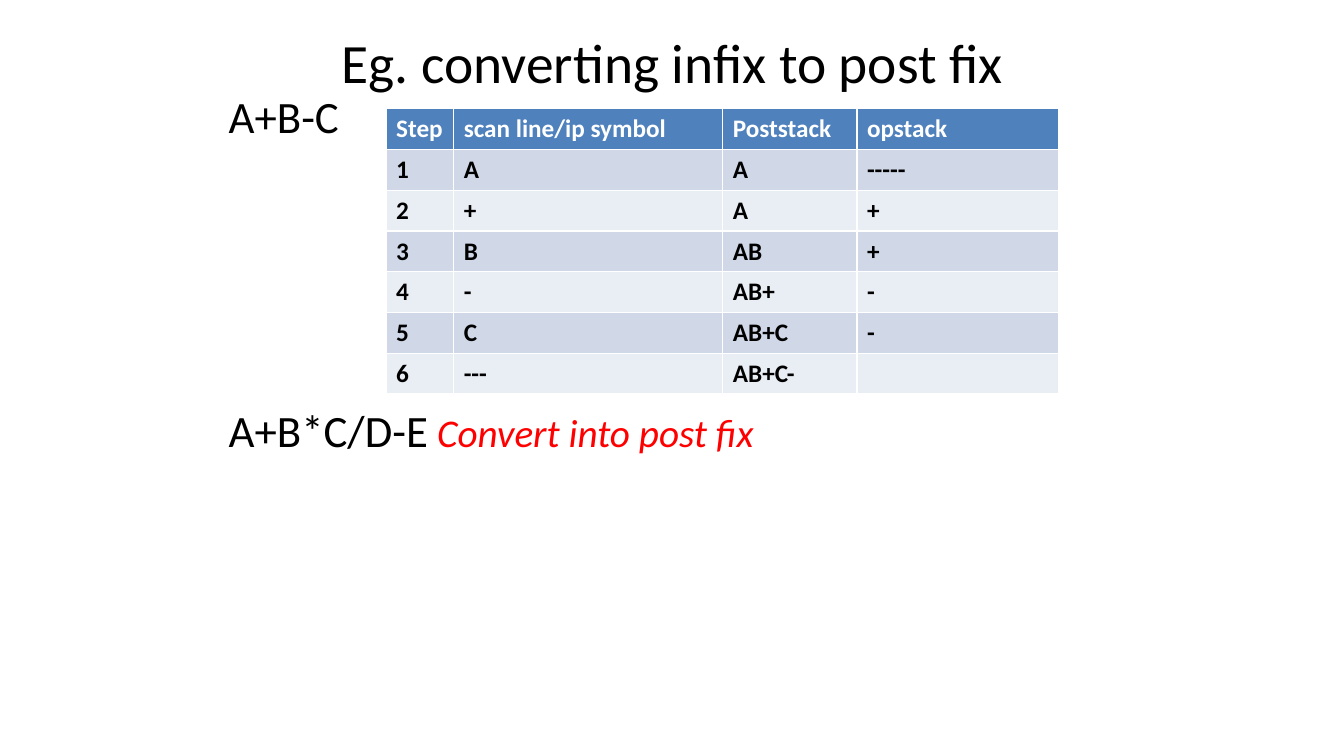
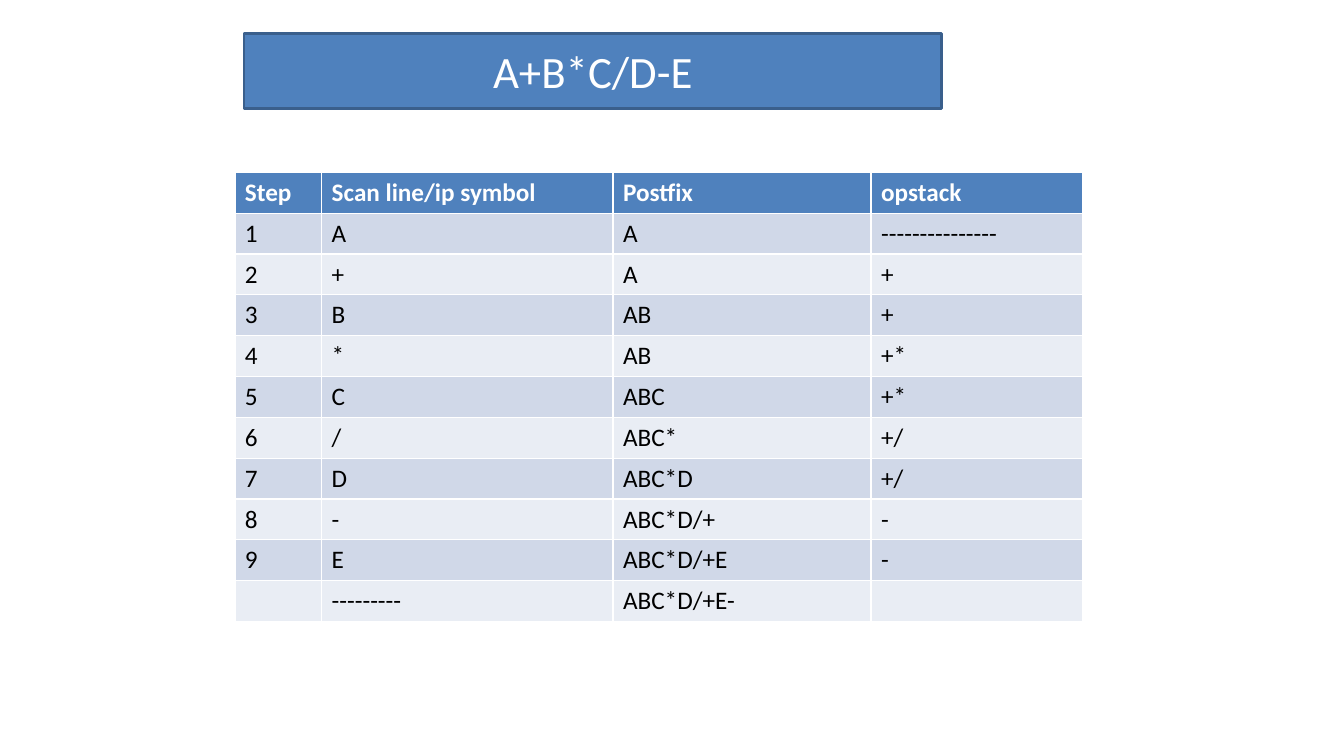
"""Build two slides that trace infix to postfix conversion step by step."""
from dataclasses import dataclass

from pptx import Presentation
from pptx import util as u
from pptx.dml import color
from pptx.enum import shapes, text


@dataclass(frozen=True)
class Theme:
    font: str = "Calibri"
    black: str = "000000"
    white: str = "FFFFFF"
    red: str = "FF0000"
    blue: str = "4F81BD"
    outline: str = "3A5F8C"
    bands: tuple = ("E9EDF4", "D0D8E8")
    title_size: float = 39.6
    body_size: float = 32
    prompt_size: float = 28
    cell_size: float = 18


theme = Theme()


def style_runs(para, size, hue, bold=False):
    for span in para.runs:
        span.font.name = theme.font
        span.font.size = u.Pt(size)
        span.font.bold = bold
        span.font.color.rgb = color.RGBColor.from_string(hue)


def add_trace_table(page, left, top, height, widths, rows, bold):
    frame = page.shapes.add_table(
        len(rows), len(widths), u.Inches(left), u.Inches(top),
        u.Inches(sum(widths)), u.Inches(height))
    table = frame.table
    for column, width in zip(table.columns, widths):
        column.width = u.Inches(width)
    for index, values in enumerate(rows):
        header = index == 0
        for cell, value in zip(table.rows[index].cells, values):
            cell.fill.solid()
            cell.fill.fore_color.rgb = color.RGBColor.from_string(
                theme.blue if header else theme.bands[index % 2])
            para = cell.text_frame.paragraphs[0]
            para.text = value
            para.font.size = u.Pt(theme.cell_size)
            style_runs(para, theme.cell_size,
                       theme.white if header else theme.black, header or bold)


deck = Presentation()
deck.slide_width, deck.slide_height = u.Inches(13.33), u.Inches(7.5)
expression = "A+B*C/D-E"

page = deck.slides.add_slide(deck.slide_layouts[5])
title = page.shapes.title
title.left, title.top = u.Inches(2.17), u.Inches(0.3)
title.width, title.height = u.Inches(9), u.Inches(0.62)
title.text_frame.text = "Eg. converting infix to post fix"
title.text_frame.vertical_anchor = text.MSO_ANCHOR.MIDDLE
title.text_frame.paragraphs[0].alignment = text.PP_ALIGN.CENTER
style_runs(title.text_frame.paragraphs[0], theme.title_size, theme.black)

body = page.shapes.add_textbox(
    u.Inches(2.17), u.Inches(0.83), u.Inches(9), u.Inches(6.25))
body.text_frame.word_wrap = True
body.text_frame.text = "A+B-C"
style_runs(body.text_frame.paragraphs[0], theme.body_size, theme.black)
exercise = body.text_frame.add_paragraph()
exercise.text = expression
exercise.space_before = u.Pt(186)
prompt = exercise.add_run()
prompt.text = " Convert into post fix"
style_runs(exercise, theme.body_size, theme.black)
prompt.font.size = u.Pt(theme.prompt_size)
prompt.font.italic = True
prompt.font.color.rgb = color.RGBColor.from_string(theme.red)

add_trace_table(page, 3.83, 1.08, 2.83, (0.67, 2.67, 1.33, 2), (
    ("Step", "scan line/ip symbol", "Poststack", "opstack"),
    ("1", "A", "A", "-----"),
    ("2", "+", "A", "+"),
    ("3", "B", "AB", "+"),
    ("4", "-", "AB+", "-"),
    ("5", "C", "AB+C", "-"),
    ("6", "---", "AB+C-", ""),
), bold=True)

page = deck.slides.add_slide(deck.slide_layouts[6])
add_trace_table(page, 2.33, 1.71, 4.46, (0.86, 2.89, 2.56, 2.1), (
    ("Step", "Scan line/ip symbol", "Postfix", "opstack"),
    ("1", "A", "A", "---------------"),
    ("2", "+", "A", "+"),
    ("3", "B", "AB", "+"),
    ("4", "*", "AB", "+*"),
    ("5", "C", "ABC", "+*"),
    ("6", "/", "ABC*", "+/"),
    ("7", "D", "ABC*D", "+/"),
    ("8", "-", "ABC*D/+", "-"),
    ("9", "E", "ABC*D/+E", "-"),
    ("", "---------", "ABC*D/+E-", ""),
), bold=False)

banner = page.shapes.add_shape(
    shapes.MSO_SHAPE.RECTANGLE,
    u.Inches(2.42), u.Inches(0.33), u.Inches(6.92), u.Inches(0.75))
banner.shadow.inherit = False
banner.fill.solid()
banner.fill.fore_color.rgb = color.RGBColor.from_string(theme.blue)
banner.line.color.rgb = color.RGBColor.from_string(theme.outline)
banner.line.width = u.Pt(2)
banner.text_frame.text = expression
banner.text_frame.vertical_anchor = text.MSO_ANCHOR.MIDDLE
banner.text_frame.paragraphs[0].alignment = text.PP_ALIGN.CENTER
style_runs(banner.text_frame.paragraphs[0], theme.body_size, theme.white)

deck.save("out.pptx")
